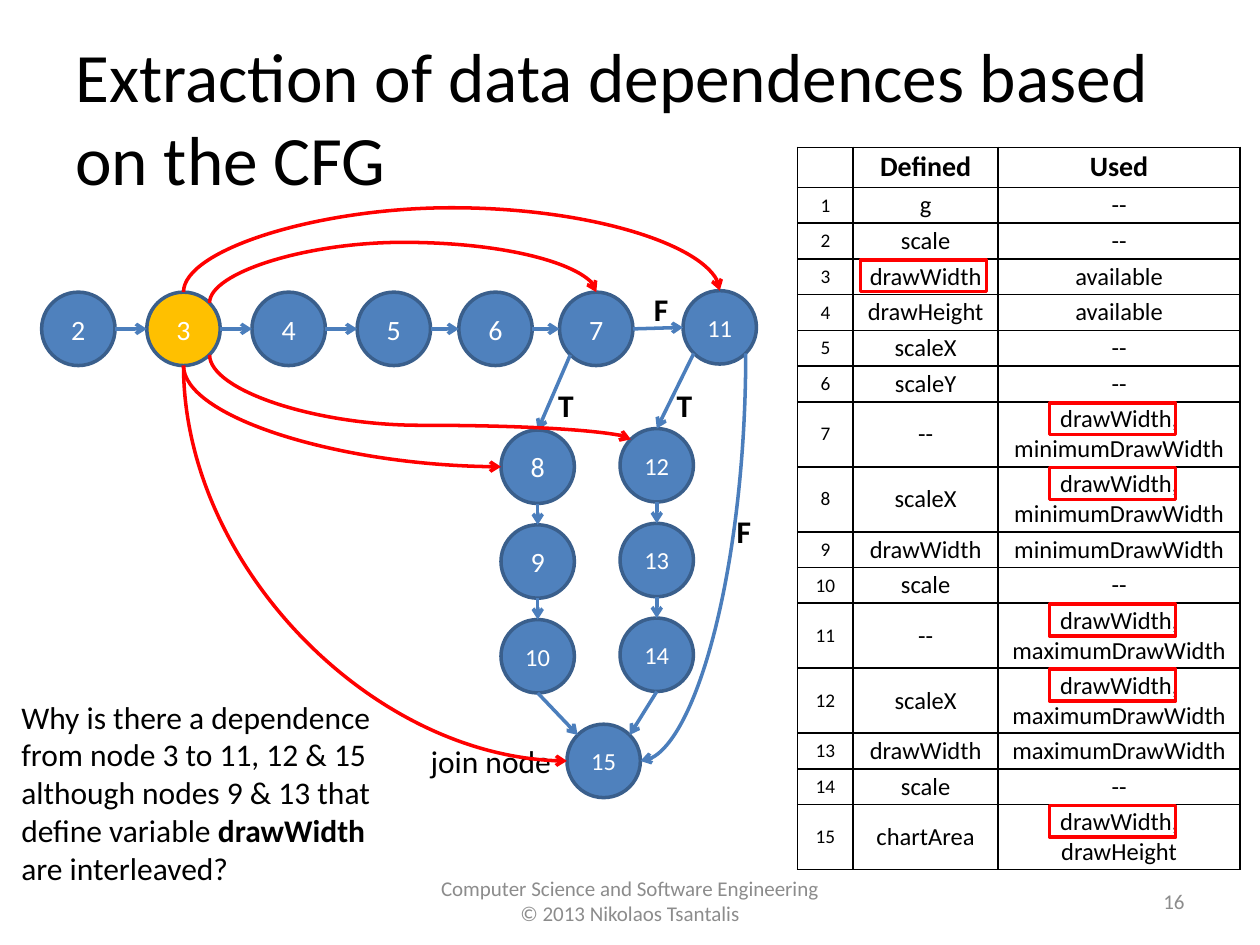
from math import cos, pi, sin

from lxml import etree
from pptx import Presentation
from pptx.dml.color import RGBColor
from pptx.enum.shapes import MSO_CONNECTOR, MSO_SHAPE
from pptx.enum.text import MSO_ANCHOR, PP_ALIGN
from pptx.oxml.ns import qn
from pptx.util import Cm, Pt

STRAIGHT, CURVE = MSO_CONNECTOR.STRAIGHT, MSO_CONNECTOR.CURVE
OVAL, RECTANGLE = MSO_SHAPE.OVAL, MSO_SHAPE.RECTANGLE
TOP, MIDDLE = MSO_ANCHOR.TOP, MSO_ANCHOR.MIDDLE
LEFT, CENTER, RIGHT = PP_ALIGN.LEFT, PP_ALIGN.CENTER, PP_ALIGN.RIGHT
BLACK, WHITE, GRAY, RED = "000000", "FFFFFF", "8C8C8C", "FF0000"
NODE_BLUE, NODE_GOLD, NODE_EDGE, FLOW_BLUE = "4F81BD", "FFC000", "3A5F8C", "4B7EBC"


def rgb(value):
    return RGBColor.from_string(value)


def style_paragraph(paragraph, size, color=BLACK, align=CENTER, bold=None):
    paragraph.alignment = align
    paragraph.font.name = "Calibri"
    paragraph.font.size = Pt(size)
    paragraph.font.color.rgb = rgb(color)
    paragraph.font.bold = bold


presentation = Presentation()
presentation.slide_width, presentation.slide_height = Cm(25.4), Cm(19.05)
slide = presentation.slides.add_slide(presentation.slide_layouts[6])

# Text boxes: left, top, width, height, wraps, anchor, align, size, color, bold, lines
question = ["Why is there a dependence", "from node 3 to 11, 12 & 15",
            "although nodes 9 & 13 that", "define variable *drawWidth",
            "are interleaved?"]
footer = ["Computer Science and Software Engineering", "© 2013 Nikolaos Tsantalis"]
text_boxes = [
    (1.27, 0.76, 22.86, 3.18, True, MIDDLE, LEFT, 39.6, BLACK, None,
     ["Extraction of data dependences based on the CFG"]),
    (0, 17.65, 25.4, 1.02, True, MIDDLE, CENTER, 12, GRAY, None, footer),
    (18.21, 17.65, 5.92, 1.02, True, MIDDLE, RIGHT, 12, GRAY, None, ["16"]),
    (0.18, 13.94, 7.65, 4.11, False, TOP, LEFT, 18, BLACK, None, question),
    (8.43, 14.83, 3.02, 1.02, False, TOP, LEFT, 18, BLACK, None, ["join node"]),
]
for label, left, top in [("F", 12.93, 5.72), ("F", 14.6, 10.19),
                         ("T", 11, 7.65), ("T", 13.39, 7.65)]:
    text_boxes.append((left, top, 0.81, 1.02, False, TOP, LEFT, 18, BLACK, True, [label]))

for left, top, width, height, wraps, anchor, align, size, color, bold, lines in text_boxes:
    frame = slide.shapes.add_textbox(Cm(left), Cm(top), Cm(width), Cm(height)).text_frame
    frame.word_wrap = wraps
    frame.vertical_anchor = anchor
    for index, line in enumerate(lines):
        paragraph = frame.add_paragraph() if index else frame.paragraphs[0]
        style_paragraph(paragraph, size, color, align, bold)
        plain, _, strong = line.partition("*")
        paragraph.add_run().text = plain
        if strong:
            run = paragraph.add_run()
            run.text = strong
            run.font.bold = True

# Graph nodes: centers in cm
RADIUS = 0.74
centers = {number: (1.58 + 2.12 * index, 6.63) for index, number in enumerate([2, 3, 4, 5])}
centers |= {6: (9.99, 6.63), 7: (12.02, 6.63), 11: (14.51, 6.6), 15: (12.17, 15.34)}
for first, x, y in [(8, 10.84, 9.41), (12, 13.24, 9.38)]:
    for index in range(3):
        centers[first + index] = (x, y + 1.91 * index)

nodes = {}
for number, (x, y) in centers.items():
    node = slide.shapes.add_shape(OVAL, Cm(x - RADIUS), Cm(y - RADIUS),
                                  Cm(2 * RADIUS), Cm(2 * RADIUS))
    node.shadow.inherit = False
    node.fill.solid()
    node.fill.fore_color.rgb = rgb(NODE_GOLD if number == 3 else NODE_BLUE)
    node.line.color.rgb = rgb(NODE_EDGE)
    node.line.width = Pt(2)
    frame = node.text_frame
    frame.word_wrap = False
    frame.vertical_anchor = MIDDLE
    frame.margin_left = frame.margin_right = 0
    frame.text = str(number)
    style_paragraph(frame.paragraphs[0], 16 if number < 10 else 14, WHITE)
    nodes[number] = node

# Edges: source, site, target, site, color, kind, bend (signed rise in cm).
# Sites run counterclockwise from the top of a circle in steps of 45 degrees.
flow = [2, 3, 4, 5, 6, 7, 11]
edges = [(a, 6, b, 2, FLOW_BLUE, STRAIGHT, 0) for a, b in zip(flow, flow[1:])]
edges += [(a, 4, a + 1, 0, FLOW_BLUE, STRAIGHT, 0) for a in (8, 9, 12, 13)]
edges += [(a, 3, a + 1, 0, FLOW_BLUE, STRAIGHT, 0) for a in (7, 11)]
edges += [
    (10, 4, 15, 1, FLOW_BLUE, STRAIGHT, 0),
    (14, 4, 15, 7, FLOW_BLUE, STRAIGHT, 0),
    (11, 5, 15, 6, FLOW_BLUE, CURVE, 0),
    (3, 7, 7, 0, RED, CURVE, -1.22),
    (3, 4, 8, 2, RED, CURVE, 0),
    (3, 0, 11, 0, RED, CURVE, -1.7),
    (3, 5, 12, 1, RED, CURVE, 1.42),
    (3, 4, 15, 2, RED, CURVE, 0),
]
for source, start_site, target, end_site, color, kind, bend in edges:
    (x1, y1), (x2, y2) = [
        (centers[number][0] - RADIUS * sin(site * pi / 4),
         centers[number][1] - RADIUS * cos(site * pi / 4))
        for number, site in [(source, start_site), (target, end_site)]]
    connector = slide.shapes.add_connector(kind, Cm(x1), Cm(y1), Cm(x2), Cm(y2))
    connector.line.color.rgb = rgb(color)
    connector.line.width = Pt(2)
    properties = connector.element.spPr
    etree.SubElement(properties.find(qn("a:ln")), qn("a:tailEnd"), type="arrow")
    etree.SubElement(properties, qn("a:effectLst"))
    links = connector.element.find(".//" + qn("p:cNvCxnSpPr"))
    for tag, number, site in [("a:stCxn", source, start_site), ("a:endCxn", target, end_site)]:
        etree.SubElement(links, qn(tag), id=str(nodes[number].shape_id), idx=str(site))
    if kind == STRAIGHT:
        continue
    # Curves leave vertically, so their box is turned by a quarter
    run_length, rise = abs(x2 - x1), abs(y2 - y1)
    connector.left = Cm((x1 + x2 - rise) / 2)
    connector.top = Cm((y1 + y2 - run_length) / 2)
    connector.width, connector.height = Cm(rise), Cm(run_length)
    transform = properties.find(qn("a:xfrm"))
    upward, rightward = bend < 0, x2 > x1
    transform.set("rot", str((270 if rightward and not upward else 90) * 60000))
    transform.set("flipH", "1" if rightward else "0")
    transform.set("flipV", "1" if upward else "0")
    geometry = properties.find(qn("a:prstGeom"))
    if bend:
        adjustment = round(abs(bend) / rise * 100000)
        etree.SubElement(geometry.find(qn("a:avLst")), qn("a:gd"),
                         name="adj1", fmla=f"val {adjustment}")
    else:
        geometry.set("prst", "curvedConnector2")

# Table of defined and used variables
minimum, maximum = "drawWidth,\nminimumDrawWidth", "drawWidth,\nmaximumDrawWidth"
variables = [
    ("g", "--"), ("scale", "--"), ("drawWidth", "available"), ("drawHeight", "available"),
    ("scaleX", "--"), ("scaleY", "--"), ("--", minimum), ("scaleX", minimum),
    ("drawWidth", "minimumDrawWidth"), ("scale", "--"), ("--", maximum),
    ("scaleX", maximum), ("drawWidth", "maximumDrawWidth"), ("scale", "--"),
    ("chartArea", "drawWidth, drawHeight"),
]
rows = [("", "Defined", "Used")]
rows += [(str(number), *pair) for number, pair in enumerate(variables, 1)]
row_heights = [0.81] + [1.31 if "," in used else 0.72 for _, used in variables]
TABLE_TOP = 2.97
table = slide.shapes.add_table(len(rows), 3, Cm(16.08), Cm(TABLE_TOP),
                               Cm(8.92), Cm(sum(row_heights))).table
table.first_row = table.horz_banding = False
for column, width in zip(table.columns, [1.12, 2.92, 4.88]):
    column.width = Cm(width)
for row_index, row in enumerate(rows):
    table.rows[row_index].height = Cm(row_heights[row_index])
    for column_index, text in enumerate(row):
        cell = table.cell(row_index, column_index)
        cell.text = text
        cell.vertical_anchor = MIDDLE
        cell.margin_left = cell.margin_right = Cm(0.13)
        cell.margin_top = cell.margin_bottom = Cm(0.05)
        size = 16 if row_index == 0 else 11 if column_index == 0 else 14
        for paragraph in cell.text_frame.paragraphs:
            style_paragraph(paragraph, size, bold=row_index == 0)
        cell_properties = cell._tc.get_or_add_tcPr()
        for side in ("a:lnL", "a:lnR", "a:lnT", "a:lnB"):
            border = etree.SubElement(cell_properties, qn(side), w=str(Pt(1)))
            fill = etree.SubElement(border, qn("a:solidFill"))
            etree.SubElement(fill, qn("a:srgbClr"), val=BLACK)
        cell.fill.background()

# Frames around the definition in row 3 and its uses
for row_index, left in [(3, 17.35)] + [(index, 21.16) for index in (7, 8, 11, 12, 15)]:
    top = TABLE_TOP + sum(row_heights[:row_index]) + 0.02
    highlight = slide.shapes.add_shape(RECTANGLE, Cm(left), Cm(top), Cm(2.54), Cm(0.64))
    highlight.shadow.inherit = False
    highlight.fill.background()
    highlight.line.color.rgb = rgb(RED)
    highlight.line.width = Pt(2)

presentation.save("out.pptx")
